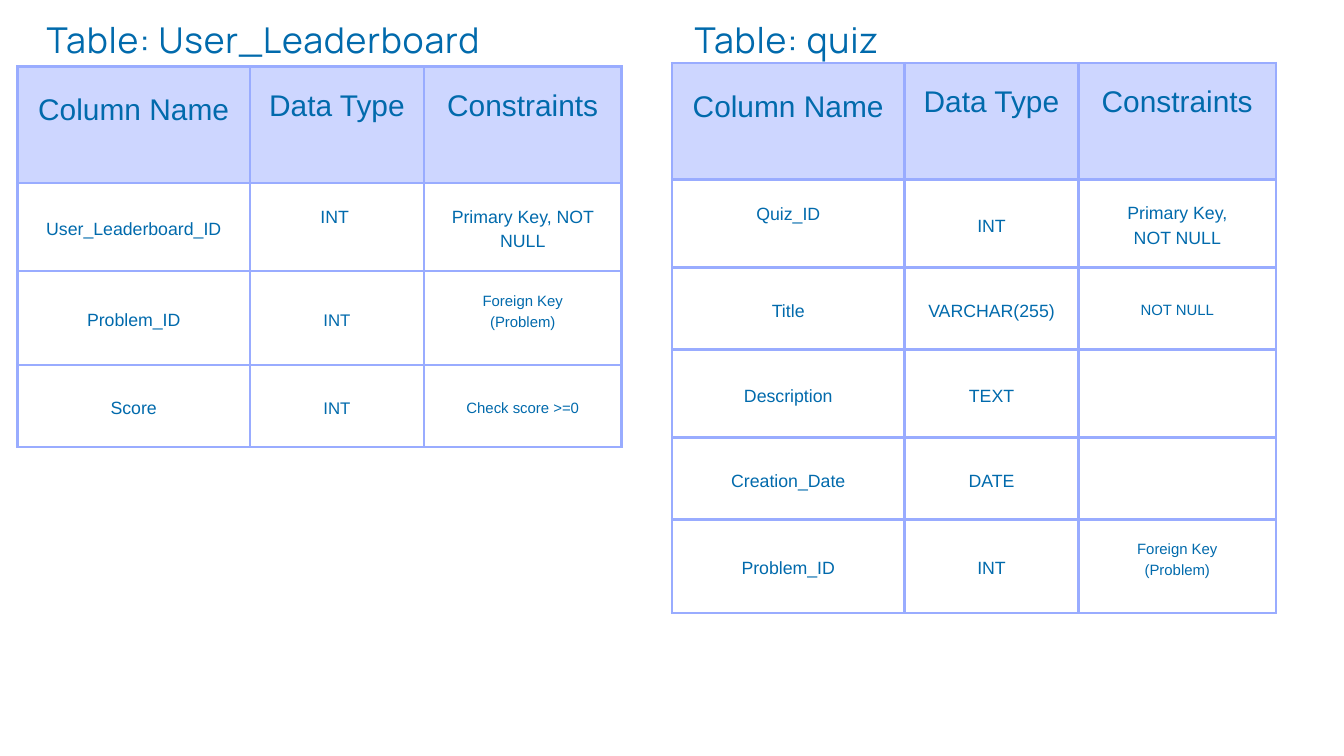
from pptx import Presentation
from pptx.dml.color import RGBColor
from pptx.enum.text import MSO_ANCHOR, PP_ALIGN
from pptx.oxml.ns import qn
from pptx.util import Inches, Pt
from lxml.etree import SubElement

BLUE, LINE, HEAD = "016AAC", "99ACFF", "CDD6FF"
COLS = [3.46, 2.59, 2.94]
PAD = 0.21
HEADER = (1.73, ["Column Name", "Data Type", "Constraints"])
FOREIGN = ("Foreign Key\n(Problem)", 16, 0.24)
SCORES = [
    (1.31, ["User_Leaderboard_ID", ("INT ", 19, 0.36), "Primary Key, NOT NULL"]),
    (1.4, ["Problem_ID", ("INT", 18, 0), FOREIGN]),
    (1.22, ["Score", ("INT", 18, 0), ("Check score >=0", 16, 0)]),
]
QUIZ = [
    (1.31, [("Quiz_ID", 19, 0.36), "INT", "Primary Key,\nNOT NULL"]),
    (1.22, ["Title", "VARCHAR(255)", ("NOT NULL", 16, 0)]),
    (1.31, ["Description", "TEXT", ""]),
    (1.22, ["Creation_Date", "DATE", ""]),
    (1.39, ["Problem_ID", "INT", FOREIGN]),
]


def color(code):
    return RGBColor.from_string(code)


def put(item, values):
    for name, value in values.items():
        setattr(item, name, value)


def write(frame, text, size, face):
    frame.text = text
    for para in frame.paragraphs:
        put(para, {"alignment": PP_ALIGN.CENTER, "line_spacing": Pt(round(size * 1.4, 1))})
        put(para.font, {"size": Pt(size), "name": face})
        for run in para.runs:
            put(run.font, {"size": Pt(size), "name": face})
            run.font.color.rgb = color(BLUE)


def border(cell):
    props = cell._tc.get_or_add_tcPr()
    for i, side in enumerate(("lnL", "lnR", "lnT", "lnB")):
        edge = props.makeelement(qn("a:" + side), {"w": str(Pt(3))})
        fill = SubElement(edge, qn("a:solidFill"))
        SubElement(fill, qn("a:srgbClr"), val=LINE)
        props.insert(i, edge)


def fill_cell(cell, entry, head, first):
    text, size, lift = entry if isinstance(entry, tuple) else (entry, 19, 0)
    top = PAD
    if head:
        size = 32
        top += 0.07 if first else 0
        cell.fill.solid()
        cell.fill.fore_color.rgb = color(HEAD)
    else:
        cell.fill.background()
    put(cell, {
        "margin_left": Inches(PAD),
        "margin_right": Inches(PAD),
        "margin_top": Inches(top),
        "margin_bottom": Inches(PAD + lift),
        "vertical_anchor": MSO_ANCHOR.TOP if head else MSO_ANCHOR.MIDDLE,
    })
    write(cell.text_frame, text, size, "Arial")
    border(cell)


def add_title(slide, box, text):
    frame = slide.shapes.add_textbox(*map(Inches, box)).text_frame
    put(frame, {"word_wrap": True, "margin_left": 0, "margin_right": 0,
                "margin_top": 0, "margin_bottom": 0})
    write(frame, text, 38.1, "Manrope")
    frame.paragraphs[0].runs[0].font._element.set("spc", "90")


def add_grid(slide, left, top, body):
    rows = [HEADER] + body
    high = sum(row[0] for row in rows)
    table = slide.shapes.add_table(
        len(rows), len(COLS), Inches(left), Inches(top), Inches(sum(COLS)), Inches(high)
    ).table
    put(table, {"first_row": False, "horz_banding": False})
    for col, wide in zip(table.columns, COLS):
        col.width = Inches(wide)
    for r, (tall, cells) in enumerate(rows):
        table.rows[r].height = Inches(tall)
        for c, entry in enumerate(cells):
            fill_cell(table.cell(r, c), entry, r == 0, c == 0)


def add_panel(slide, left, top, title, shift, wide, drop, body):
    add_grid(slide, left, top + drop, body)
    add_title(slide, (left + shift, top, wide, 0.71), title)


def main():
    deck = Presentation()
    put(deck, {"slide_width": Inches(20), "slide_height": Inches(11.25)})
    slide = deck.slides.add_slide(deck.slide_layouts[6])
    add_panel(slide, 0.26, 0.16, "Table: User_Leaderboard", -0.26, 7.84, 0.83, SCORES)
    add_panel(slide, 10, 0.16, "Table: quiz", -0.22, 3.85, 0.78, QUIZ)
    deck.save("out.pptx")


if __name__ == "__main__":
    main()
